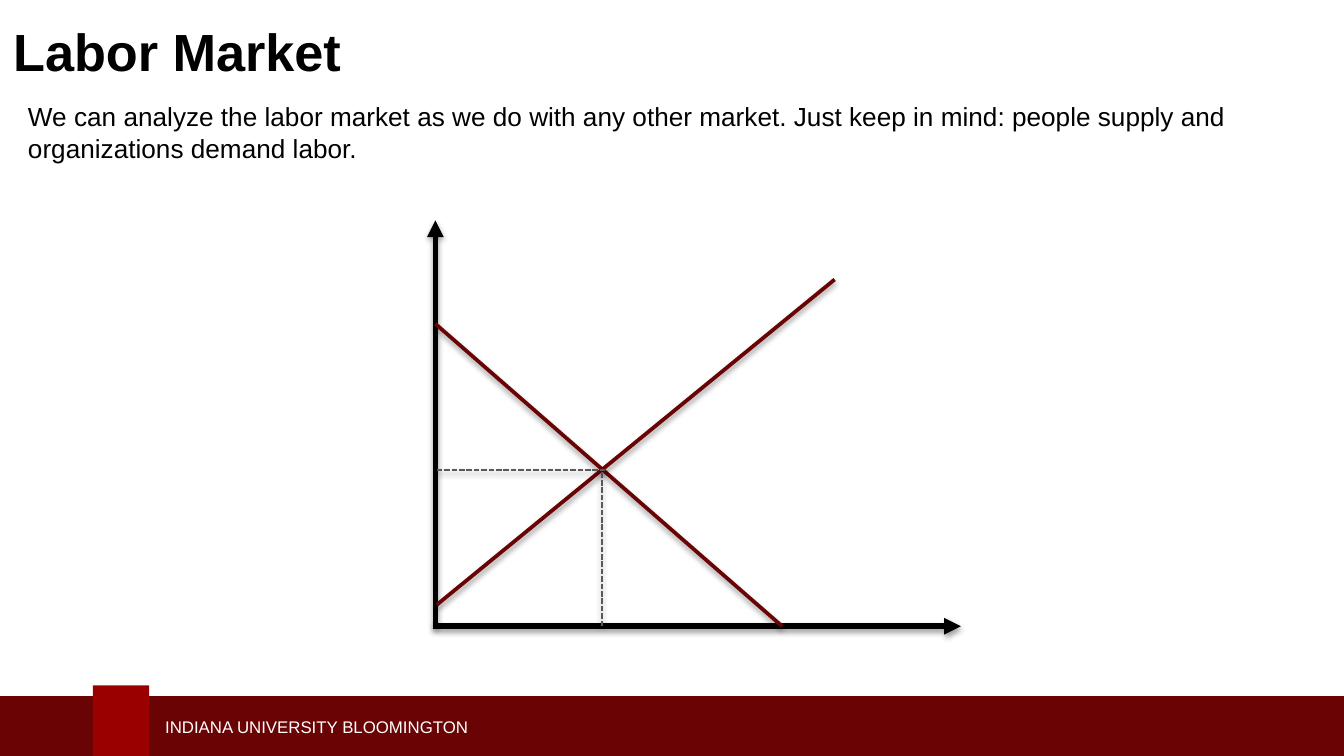
from dataclasses import dataclass

from lxml import etree
from pptx import Presentation
from pptx.dml.color import RGBColor
from pptx.enum.dml import MSO_LINE
from pptx.enum.shapes import MSO_CONNECTOR, MSO_SHAPE
from pptx.enum.text import MSO_ANCHOR
from pptx.oxml import parse_xml
from pptx.oxml.ns import nsdecls, qn
from pptx.util import Inches, Pt

RECT = MSO_SHAPE.RECTANGLE
STRAIGHT = MSO_CONNECTOR.STRAIGHT
DASH = MSO_LINE.SQUARE_DOT
TOP, MIDDLE = MSO_ANCHOR.TOP, MSO_ANCHOR.MIDDLE

SLIDE_W = 10
SLIDE_H = SLIDE_W * 9 / 16
FONT = "Arial"
BLACK, WHITE, GRAY = "000000", "FFFFFF", "595959"
CRIMSON, RED = "690304", "990000"

SHADOW = (
    f'<a:effectLst {nsdecls("a")}>'
    '<a:outerShdw blurRad="40000" dist="20000" dir="5400000" rotWithShape="0">'
    '<a:srgbClr val="000000"><a:alpha val="38000"/></a:srgbClr>'
    "</a:outerShdw></a:effectLst>"
)


@dataclass
class Block:
    left: float
    top: float
    width: float
    height: float
    color: str


@dataclass
class Label:
    left: float
    top: float
    width: float
    height: float
    text: str
    size: int
    color: str = BLACK
    bold: bool = False
    anchor: MSO_ANCHOR = MIDDLE


@dataclass
class Line:
    start: tuple[float, float]
    end: tuple[float, float]
    color: str
    weight: float
    arrow: bool = False
    dashed: bool = False


def rgb(value: str) -> RGBColor:
    return RGBColor.from_string(value)


def draw_block(shapes, block: Block) -> None:
    sp = shapes.add_shape(RECT, Inches(block.left), Inches(block.top),
                          Inches(block.width), Inches(block.height))
    sp.shadow.inherit = False
    sp.fill.solid()
    sp.fill.fore_color.rgb = rgb(block.color)
    sp.line.fill.background()


def draw_label(shapes, label: Label) -> None:
    sp = shapes.add_textbox(Inches(label.left), Inches(label.top),
                            Inches(label.width), Inches(label.height))
    tf = sp.text_frame
    tf.word_wrap = True
    tf.vertical_anchor = label.anchor
    r = tf.paragraphs[0].add_run()
    r.text = label.text
    r.font.name = FONT
    r.font.size = Pt(label.size)
    r.font.bold = label.bold
    r.font.color.rgb = rgb(label.color)


def draw_line(shapes, line: Line) -> None:
    (x1, y1), (x2, y2) = line.start, line.end
    cxn = shapes.add_connector(STRAIGHT, Inches(x1), Inches(y1),
                               Inches(x2), Inches(y2))
    cxn.line.color.rgb = rgb(line.color)
    cxn.line.width = Pt(line.weight)
    if line.dashed:
        cxn.line.dash_style = DASH
    if line.arrow:
        ln = cxn._element.spPr.find(qn("a:ln"))
        etree.SubElement(ln, qn("a:tailEnd"), type="triangle")
    cxn._element.spPr.append(parse_xml(SHADOW))


# Footer band
BLOCKS = [
    Block(-0.03, 5.18, 10.09, 0.5, CRIMSON),
    Block(0.69, 5.1, 0.42, 0.58, RED),
]

# Footer name, title and introduction
LABELS = [
    Label(1.13, 5.28, 3.95, 0.25, "INDIANA UNIVERSITY BLOOMINGTON", 9, WHITE),
    Label(0, 0, SLIDE_W, 0.76, "Labor Market", 28, bold=True),
    Label(0.11, 0.7, 9.79, 0.57,
          "We can analyze the labor market as we do with any other market. "
          "Just keep in mind: people supply and organizations demand labor.",
          14, anchor=TOP),
]

# Axes, demand and supply curves, equilibrium guides
AXIS_X, AXIS_Y = 3.24, 4.66
PRICE, QUANTITY = 3.5, 4.48
LINES = [
    Line((AXIS_X, AXIS_Y), (AXIS_X, 1.64), BLACK, 3, arrow=True),
    Line((3.22, AXIS_Y), (7.15, AXIS_Y), BLACK, 3, arrow=True),
    Line((AXIS_X, 2.41), (5.82, AXIS_Y), CRIMSON, 2),
    Line((3.25, 4.5), (6.21, 2.08), CRIMSON, 2),
    Line((QUANTITY, AXIS_Y), (QUANTITY, PRICE), GRAY, 1, dashed=True),
    Line((3.25, PRICE), (4.51, PRICE), GRAY, 1, dashed=True),
]


def main() -> None:
    prs = Presentation()
    prs.slide_width, prs.slide_height = Inches(SLIDE_W), Inches(SLIDE_H)
    s = prs.slides.add_slide(prs.slide_layouts[6])
    for block in BLOCKS:
        draw_block(s.shapes, block)
    for label in LABELS:
        draw_label(s.shapes, label)
    for line in LINES:
        draw_line(s.shapes, line)
    prs.save("out.pptx")


if __name__ == "__main__":
    main()
